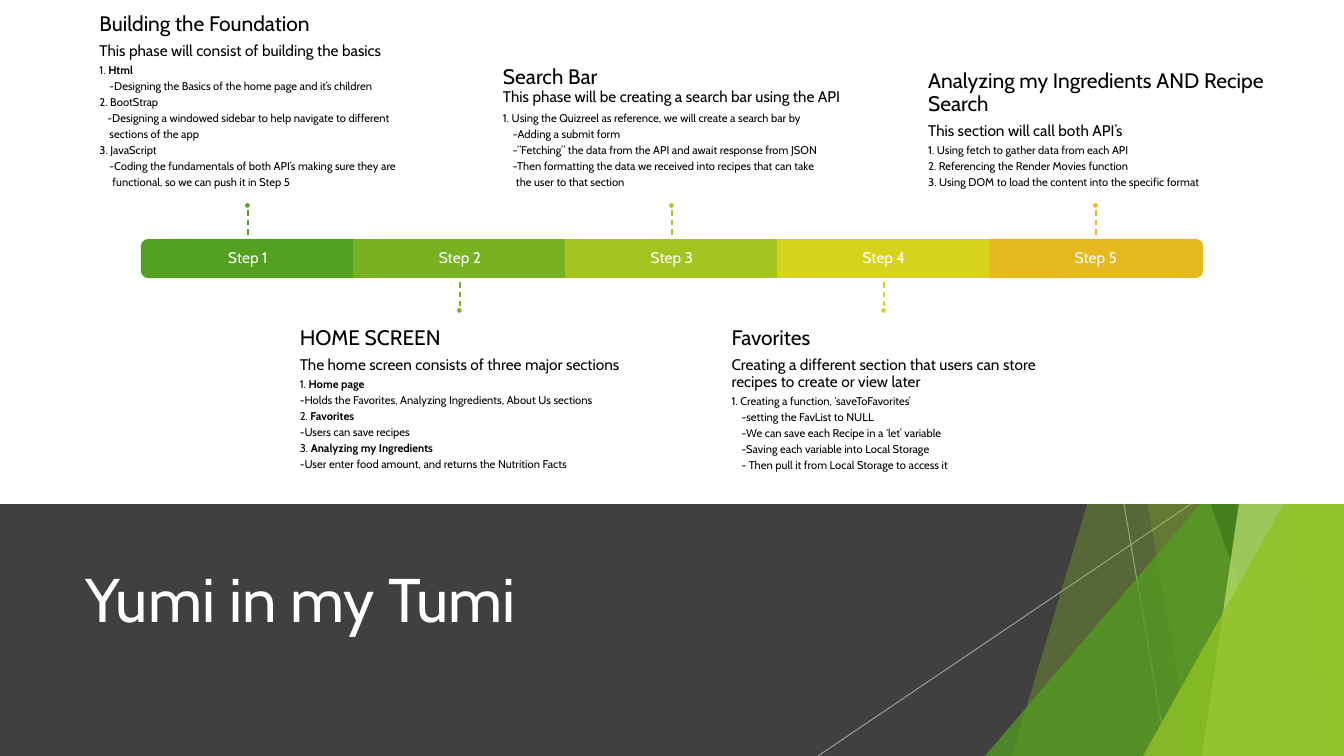
from lxml import etree
from pptx import Presentation
from pptx import util as u
from pptx.dml.color import RGBColor
from pptx.enum import dml, shapes, text
from pptx.oxml.ns import qn

PX = 914400 / 100.8
WIDTH, HEIGHT, SPLIT = 1344, 756, 504
FONT = "Cabin"
HEADING, SUMMARY, DETAIL = 15, 11, 8


def px(*lengths):
    return [u.Emu(round(length * PX)) for length in lengths]


def color(fill, value, opacity=100):
    fill.solid()
    fill.fore_color.rgb = RGBColor.from_string(value)
    if opacity < 100:
        tone = fill._xPr.find(qn("a:solidFill"))[0]
        etree.SubElement(tone, qn("a:alpha"), val=str(opacity * 1000))


deck = Presentation()
deck.slide_width, deck.slide_height = px(WIDTH, HEIGHT)
slide = deck.slides.add_slide(deck.slide_layouts[5])
canvas = slide.shapes
color(slide.background.fill, "FFFFFF")

# Dark band
band = canvas.add_shape(shapes.MSO_SHAPE.RECTANGLE, *px(0, SPLIT, WIDTH, HEIGHT - SPLIT))
color(band.fill, "404040")
band.line.fill.background()
band.shadow.inherit = False

# Thin rays behind the facets
for start_x, end_x in [(1124, 1167), (1191, 818)]:
    ray = canvas.add_connector(shapes.MSO_CONNECTOR.STRAIGHT, *px(start_x, SPLIT, end_x, HEIGHT))
    color(ray.line.fill, "BFBFBF", 70)
    ray.line.width = u.Pt(0.75)
    etree.SubElement(ray._element.spPr, qn("a:effectLst"))

# Green facets against the right edge: kind, two positions, colour, opacity
# A slab has its top and bottom x, a wedge has its left x and its top y
facets = [
    ("slab", 1238, 1012, "90C226", 30),
    ("slab", 1058, 1192, "90C226", 20),
    ("wedge", 985, 336, "54A021", 72),
    ("slab", 1029, 1301, "3F7819", 70),
    ("slab", 1313, 1202, "C0E474", 70),
    ("slab", 1206, 1329, "90C226", 65),
    ("wedge", 1143, 396, "90C226", 80),
]
for kind, first, second, tone, opacity in facets:
    if kind == "slab":
        outline = canvas.build_freeform(first, -1, scale=PX)
        outline.add_line_segments([(WIDTH, -1), (WIDTH, HEIGHT), (second, HEIGHT)])
        facet = outline.convert_to_shape()
    else:
        facet = canvas.add_shape(shapes.MSO_SHAPE.ISOSCELES_TRIANGLE,
                                 *px(first, second, WIDTH - first, HEIGHT - second))
        facet.adjustments[0] = 1
    color(facet.fill, tone, opacity)
    facet.line.fill.background()
    facet.shadow.inherit = False

# Title, brought in front of the band
title = canvas.title
title.left, title.top, title.width, title.height = px(75, 525, 948, 145)
title._element.getparent().append(title._element)
title.text_frame.text = "Yumi in my Tumi"
title.text_frame.auto_size = text.MSO_AUTO_SIZE.NONE
title.text_frame.vertical_anchor = text.MSO_ANCHOR.MIDDLE
title.text_frame.paragraphs[0].alignment = text.PP_ALIGN.LEFT
title_font = title.text_frame.paragraphs[0].runs[0].font
title_font.name, title_font.size = FONT, u.Pt(44)
color(title_font.fill, "FFFFFF")

# White upper panel
panel = canvas.add_shape(shapes.MSO_SHAPE.RECTANGLE, *px(0, 0, WIDTH, SPLIT))
color(panel.fill, "FFFFFF")
panel.line.fill.background()
panel.shadow.inherit = False

# Steps: colour, heading, summary, details as (indent, text); text after | is bold
# A heading that ends in a line break shares its paragraph with the summary
steps = [
    ("54A021", "Building the Foundation", "This phase will consist of building the basics", [
        (0, "1. |Html"),
        (10, "-Designing the Basics of the home page and it’s children"),
        (0, "2. BootStrap"),
        (8, "-Designing a windowed sidebar to help navigate to different"),
        (10, "sections of the app"),
        (0, "3. JavaScript"),
        (10, "-Coding the fundamentals of both API’s making sure they are"),
        (13, "functional, so we can push it in Step 5")]),
    ("79B220", "HOME SCREEN", "The home screen consists of three major sections", [
        (0, "1. |Home page"),
        (0, "-Holds the Favorites, Analyzing Ingredients, About Us sections"),
        (0, "2. |Favorites"),
        (0, "-Users can save recipes"),
        (0, "3. |Analyzing my Ingredients"),
        (0, "-User enter food amount, and returns the Nutrition Facts")]),
    ("A5C41F", "Search Bar\n", "This phase will be creating a search bar using the API", [
        (0, "1. Using the Quizreel as reference, we will create a search bar by"),
        (10, "-Adding a submit form"),
        (10, "-”Fetching” the data from the API and await response from JSON"),
        (10, "-Then formatting the data we received into recipes that can take"),
        (13, "the user to that section")]),
    ("D7D31D", "Favorites",
     "Creating a different section that users can store recipes to create or view later", [
         (0, "1. Creating a function, ‘saveToFavorites’"),
         (10, "-setting the FavList to NULL"),
         (10, "-We can save each Recipe in a ‘let’ variable"),
         (10, "-Saving each variable into Local Storage"),
         (10, "- Then pull it from Local Storage to access it")]),
    ("E6B91E", "Analyzing my Ingredients AND Recipe Search", "This section will call both API’s", [
        (0, "1. Using fetch to gather data from each API"),
        (0, "2. Referencing the Render Movies function"),
        (0, "3. Using DOM to load the content into the specific format")]),
]
BAR_LEFT, BAR_TOP, BAR_W, BAR_H = 142, 240, 212, 37
BAR_BOTTOM = BAR_TOP + BAR_H
STEM, DOT = 30, 7
NOTE_W, NOTE_H = 354, 131

for index, (tone, heading, summary, details) in enumerate(steps):
    left = BAR_LEFT + index * BAR_W
    center = left + BAR_W // 2
    above = index % 2 == 0
    is_end = index in (0, len(steps) - 1)

    # Bar segment, with rounded outer corners at both ends
    if is_end:
        bar = canvas.add_shape(
            shapes.MSO_SHAPE.ROUND_2_SAME_RECTANGLE,
            *px(center - BAR_H / 2, BAR_TOP + BAR_H / 2 - BAR_W / 2, BAR_H, BAR_W))
        bar.rotation = 270 if index == 0 else 90
    else:
        bar = canvas.add_shape(shapes.MSO_SHAPE.RECTANGLE, *px(left, BAR_TOP, BAR_W, BAR_H))
    color(bar.fill, tone)
    color(bar.line.fill, tone)
    bar.line.width = u.Pt(1.5)
    bar.shadow.inherit = False

    # Step label
    label = canvas.add_textbox(*px(left, BAR_TOP, BAR_W, BAR_H)).text_frame
    label.text = f"Step {index + 1}"
    label.word_wrap = True
    label.vertical_anchor = text.MSO_ANCHOR.MIDDLE
    label.paragraphs[0].alignment = text.PP_ALIGN.CENTER
    label.paragraphs[0].line_spacing = 0.9
    label_font = label.paragraphs[0].runs[0].font
    label_font.name, label_font.size = FONT, u.Pt(SUMMARY)
    color(label_font.fill, "FFFFFF")

    # Notes, centred on the step as a block
    note_top = 70 if above else 315
    note = canvas.add_textbox(*px(center - NOTE_W // 2, note_top, NOTE_W, NOTE_H)).text_frame
    note.word_wrap = True
    note.vertical_anchor = text.MSO_ANCHOR.BOTTOM if above else text.MSO_ANCHOR.TOP
    note.margin_left = note.margin_right = 0
    note.margin_top, note.margin_bottom = px(0, 12) if above else px(12, 0)
    note._txBody.bodyPr.set("anchorCtr", "1")
    lines = [(HEADING, 0, heading), (SUMMARY, 0, summary)]
    lines += [(DETAIL, indent, detail) for indent, detail in details]
    paragraph = note.paragraphs[0]
    for size, indent, line in lines:
        shares_heading = size == SUMMARY and heading.endswith("\n")
        if shares_heading:
            paragraph.add_line_break()
            etree.SubElement(paragraph._p[-1], qn("a:rPr"), sz=str(HEADING * 100))
        else:
            if size != HEADING:
                paragraph = note.add_paragraph()
            paragraph.line_spacing = 0.9
            paragraph.space_after = u.Pt(0.35 * size)
            paragraph._p.get_or_add_pPr().set("marL", str(px(indent)[0]))
        for part, wording in enumerate(line.strip().split("|")):
            run = paragraph.add_run()
            run.text = wording
            run.font.name, run.font.size, run.font.bold = FONT, u.Pt(size), part == 1
            color(run.font.fill, "000000")

    # Dashed stem joined to the bar, and its dot
    bar_y, dot_y = (BAR_TOP, BAR_TOP - STEM) if above else (BAR_BOTTOM, BAR_BOTTOM + STEM)
    stem = canvas.add_connector(shapes.MSO_CONNECTOR.STRAIGHT, *px(center, dot_y, center, bar_y))
    if not is_end:
        stem.end_connect(bar, 0 if above else 2)
    color(stem.line.fill, tone)
    stem.line.width = u.Pt(1)
    stem.line.dash_style = dml.MSO_LINE.DASH
    etree.SubElement(stem._element.spPr, qn("a:effectLst"))

    dot_top = dot_y - DOT - 1 if above else dot_y
    dot = canvas.add_shape(shapes.MSO_SHAPE.OVAL, *px(center - 4, dot_top, DOT, DOT))
    color(dot.fill, tone)
    color(dot.line.fill, "FFFFFF")
    dot.line.width = u.Pt(1.5)
    dot.shadow.inherit = False

deck.save("out.pptx")
